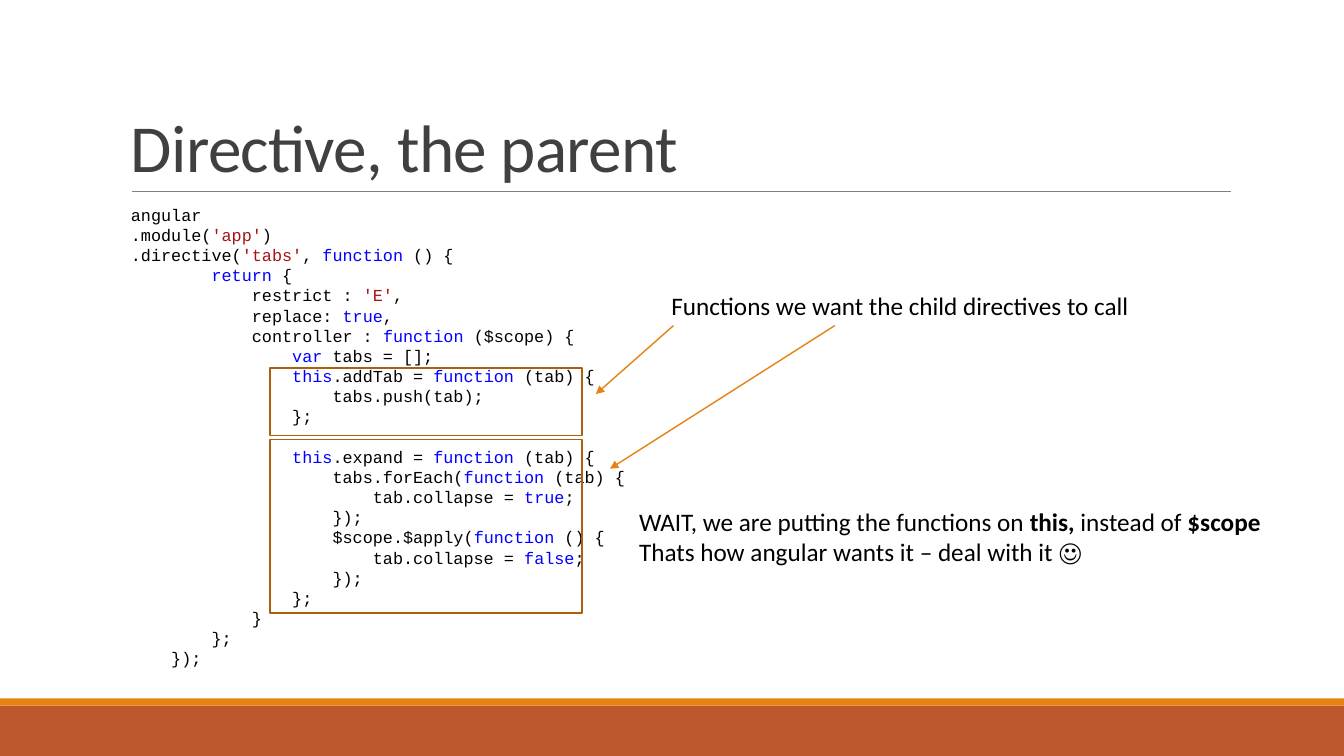
from lxml import etree
from pptx import Presentation, util as u
from pptx.dml.color import RGBColor
from pptx.enum import shapes, text
from pptx.oxml.ns import qn

# Content: backticks enclose the highlighted parts of a line
TITLE = "Directive, the parent"
CODE = [  # (indent level, line)
    (0, "angular"),
    (0, ".module(`'app'`)"),
    (0, ".directive(`'tabs'`, `function` () {"),
    (2, "`return` {"),
    (3, "restrict : `'E'`,"),
    (3, "replace: `true`,"),
    (3, "controller : `function` ($scope) {"),
    (4, "`var` tabs = [];"),
    (4, "`this`.addTab = `function` (tab) {"),
    (5, "tabs.push(tab);"),
    (4, "};"),
    (4, "`this`.expand = `function` (tab) {"),
    (5, "tabs.forEach(`function` (tab) {"),
    (6, "tab.collapse = `true`;"),
    (5, "});"),
    (5, "$scope.$apply(`function` () {"),
    (6, "tab.collapse = `false`;"),
    (5, "});"),
    (4, "};"),
    (3, "}"),
    (2, "};"),
    (1, "});"),
]
GAP_BEFORE = "`this`.expand"  # one open line above this one
NOTES = [  # (left, top, width, height, lines)
    (6.56, 2.83, 4.8, 0.4, ["Functions we want the child directives to call"]),
    (6.24, 4.97, 6.44, 0.71, [
        "WAIT, we are putting the functions on `this, `instead of `$scope`",
        "Thats how angular wants it – deal with it ☺"]),
]
FRAMES = [(3.65, 0.67), (4.36, 1.72)]  # (top, height)
ARROWS = [(6.68, 3.23, 5.91, 3.91), (8.28, 3.23, 6.05, 4.65)]

COLORS = {"rust": "BD582C", "orange": "E48312", "frame": "A9610D", "rule": "808080",
          "title": "404040", "text": "000000", "keyword": "0000FF", "string": "A31515"}
W, H = 13.33, 7.5
BAND, STRIPE = 0.5, 0.07
LEFT, FRAME_LEFT, FRAME_W = 1.2, 2.68, 3.09
CODE_INDENT = 0.4   # four characters
CODE_LINE = 14.4    # points

prs = Presentation()
prs.slide_width, prs.slide_height = u.Inches(W), u.Inches(H)
s = prs.slides.add_slide(prs.slide_layouts[6])


def rgb(name):
    return RGBColor.from_string(COLORS[name])


def inches(*values):
    return [u.Inches(v) for v in values]


def add_rect(box, fill=None, line=None):
    sp = s.shapes.add_shape(shapes.MSO_SHAPE.RECTANGLE, *inches(*box))
    sp.shadow.inherit = False
    if fill:
        sp.fill.solid()
        sp.fill.fore_color.rgb = rgb(fill)
    else:
        sp.fill.background()
    if line:
        sp.line.color.rgb = rgb(line)
        sp.line.width = u.Pt(1.25)
    else:
        sp.line.fill.background()


def add_line(ends, color, width, arrow=False):
    c = s.shapes.add_connector(shapes.MSO_CONNECTOR.STRAIGHT, *inches(*ends))
    c.line.color.rgb = rgb(color)
    c.line.width = u.Pt(width)
    if arrow:
        etree.SubElement(c.line._get_or_add_ln(), qn("a:tailEnd"), type="triangle")
    etree.SubElement(c._element.spPr, qn("a:effectLst"))


def add_text(box, wrap=True, anchor=text.MSO_ANCHOR.TOP):
    tf = s.shapes.add_textbox(*inches(*box)).text_frame
    tf.word_wrap = wrap
    tf.vertical_anchor = anchor
    return tf


def next_paragraph(tf, i):
    return tf.paragraphs[0] if i == 0 else tf.add_paragraph()


def add_run(p, words, font, size, color="text", bold=False):
    r = p.add_run()
    r.text = words
    r.font.name, r.font.size, r.font.bold = font, u.Pt(size), bold
    r.font.color.rgb = rgb(color)
    return r


def split_marked(line):
    return [(part, i % 2 == 1) for i, part in enumerate(line.split("`")) if part]


# Bottom bands and title rule
add_rect((0, H - BAND, W, BAND), fill="rust")
add_rect((0, H - BAND - STRIPE, W, STRIPE), fill="orange")
add_line((1.31, 1.9, 12.21, 1.9), "rule", 0.5)

# Title
p = add_text((LEFT, 0.31, 11, 1.59), anchor=text.MSO_ANCHOR.BOTTOM).paragraphs[0]
p.line_spacing = 0.85
r = add_run(p, TITLE, "Calibri", 48, "title")
r.font._element.set("spc", "-50")

# Code listing
tf = add_text((LEFT, 1.98, W / 2, 4.75))
for i, (level, line) in enumerate(CODE):
    p = next_paragraph(tf, i)
    p.line_spacing = u.Pt(CODE_LINE)
    p._p.get_or_add_pPr().set("marL", str(u.Inches(level * CODE_INDENT)))
    if line.startswith(GAP_BEFORE):
        p.space_before = u.Pt(CODE_LINE)
    for part, marked in split_marked(line):
        color = "text"
        if marked:
            color = "string" if part.startswith("'") else "keyword"
        add_run(p, part, "Courier New", 12, color)

# Frames around the shared functions
for top, height in FRAMES:
    add_rect((FRAME_LEFT, top, FRAME_W, height), line="frame")

# Notes and arrows
for *box, lines in NOTES:
    tf = add_text(box, wrap=False)
    tf.auto_size = text.MSO_AUTO_SIZE.SHAPE_TO_FIT_TEXT
    for i, line in enumerate(lines):
        p = next_paragraph(tf, i)
        for part, marked in split_marked(line):
            add_run(p, part, "Calibri", 18, bold=marked)
for ends in ARROWS:
    add_line(ends, "orange", 1, arrow=True)

prs.save("out.pptx")
